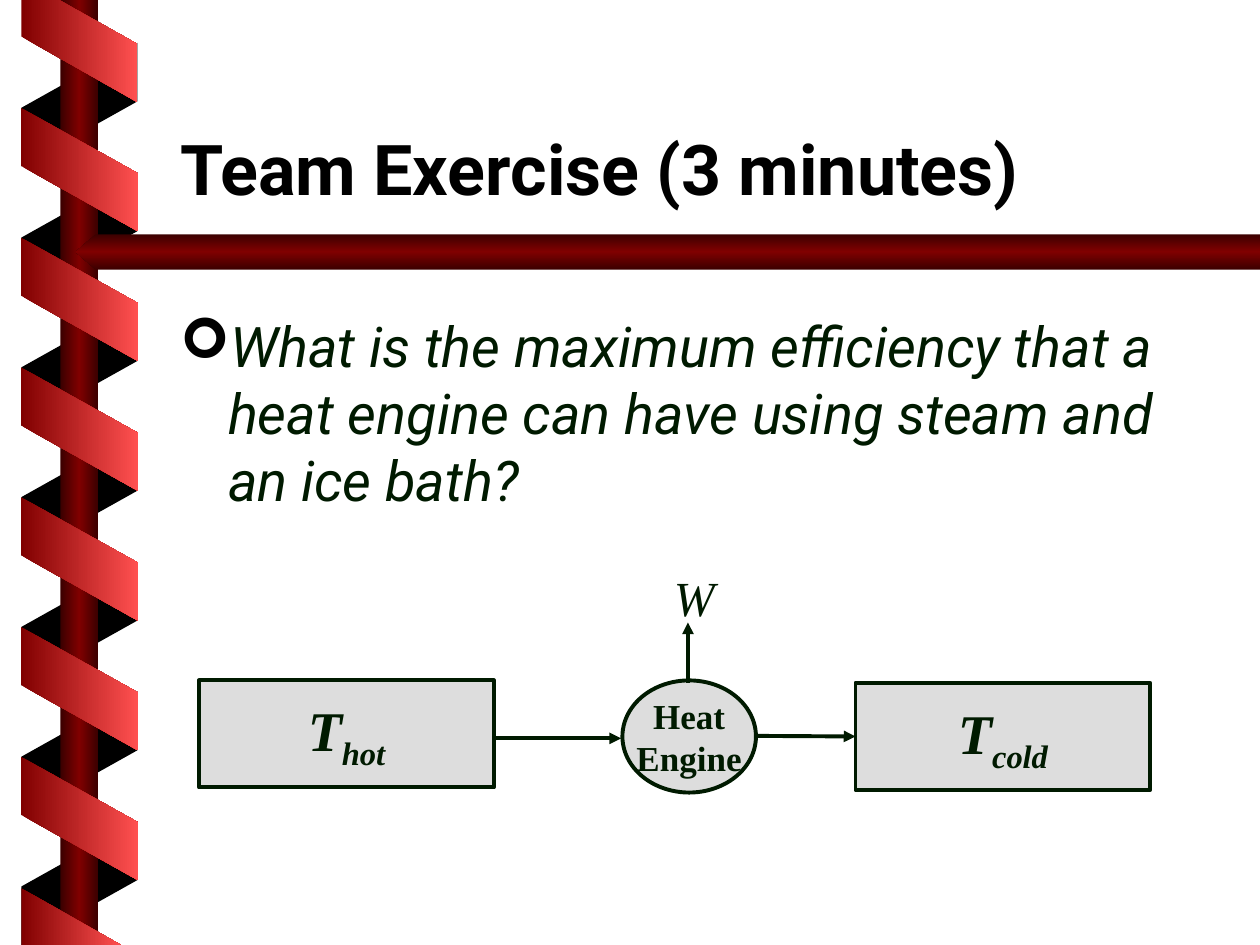
from lxml import etree
from pptx import Presentation
from pptx.dml.color import RGBColor
from pptx.enum import shapes, text
from pptx.oxml import parse_xml
from pptx.oxml.ns import nsdecls, qn
from pptx.util import Inches, Pt

HUES = {"ink": "001A00", "black": "000000", "gray": "DDDDDD",
        "dark": "3B0000", "red": "800000", "light": "FF5050"}
SANS, SERIF = "Roboto", "Times New Roman"
POLE = ("dark", "red", "dark")
BAND = ("red", "light")
STEP = 1.03  # height of one turn of the ribbon


def box(*vals):
    return [Inches(v) for v in vals]


class Deck:
    def __init__(self):
        self.prs = Presentation()
        self.prs.slide_width, self.prs.slide_height = box(10, 7.5)
        self.slide = self.prs.slides.add_slide(self.prs.slide_layouts[1])
        self.tree = self.slide.shapes

    def hue(self, name):
        return RGBColor.from_string(HUES[name])

    def paint(self, shape, fill, turn=0, line=None):
        """Fill with one colour, or with a gradient when given a tuple."""
        shape.shadow.inherit = False
        if isinstance(fill, tuple):
            shape.fill.gradient()
            grad = shape._element.spPr.find(qn("a:gradFill"))
            stops = grad.find(qn("a:gsLst"))
            for old in list(stops):
                stops.remove(old)
            for i, name in enumerate(fill):
                stop = etree.SubElement(stops, qn("a:gs"), pos=str(i * 100000 // (len(fill) - 1)))
                etree.SubElement(stop, qn("a:srgbClr"), val=HUES[name])
            grad.find(qn("a:lin")).set("ang", str(turn * 60000))
        else:
            shape.fill.solid()
            shape.fill.fore_color.rgb = self.hue(fill)
        if line:
            shape.line.color.rgb = self.hue(line)
            shape.line.width = Pt(2.25)
        else:
            shape.line.fill.background()
        return shape

    def shape(self, kind, spot, fill, turn=0, line=None):
        return self.paint(self.tree.add_shape(kind, *box(*spot)), fill, turn, line)

    def slant(self, spot, fill, rot, flip=False):
        """One turn of the ribbon: a parallelogram set on its side."""
        part = self.shape(shapes.MSO_SHAPE.PARALLELOGRAM, spot, fill, turn=90)
        part.adjustments[0] = 0.56
        part.rotation = rot
        if flip:
            part._element.spPr.xfrm.set("flipH", "1")

    def poly(self, pts, fill, turn=0):
        pen = self.tree.build_freeform(*box(*pts[0]), scale=1.0)
        pen.add_line_segments([box(*p) for p in pts[1:]], close=True)
        self.paint(pen.convert_to_shape(), fill, turn)

    def arrow(self, start, end):
        line = self.tree.add_connector(shapes.MSO_CONNECTOR.STRAIGHT, *box(*start, *end))
        line.line.color.rgb = self.hue("ink")
        line.line.width = Pt(2.25)
        etree.SubElement(line.line._get_or_add_ln(), qn("a:tailEnd"), type="triangle")
        etree.SubElement(line._element.spPr, qn("a:effectLst"))
        return line

    def run(self, para, words, size, face=SERIF, hue="ink", bold=False, ital=False, base=None):
        run = para.add_run()
        run.text = words
        font = run.font
        font.size, font.name, font.bold, font.italic = Pt(size), face, bold, ital
        font.color.rgb = self.hue(hue)
        if base:
            font._element.set("baseline", str(base * 1000))

    def label(self, shape, rows, align=text.PP_ALIGN.CENTER):
        """Each row is a list of (words, run style) pairs."""
        frame = shape.text_frame
        frame.word_wrap = False
        frame.vertical_anchor = text.MSO_ANCHOR.MIDDLE
        for i, row in enumerate(rows):
            para = frame.add_paragraph() if i else frame.paragraphs[0]
            para.alignment = align
            for words, style in row:
                self.run(para, words, **style)

    def holder(self, item, spot, anchor):
        item.left, item.top, item.width, item.height = box(*spot)
        frame = item.text_frame
        frame.word_wrap = True
        frame.auto_size = text.MSO_AUTO_SIZE.NONE
        frame.vertical_anchor = anchor
        para = frame.paragraphs[0]
        para.alignment = text.PP_ALIGN.LEFT
        para.space_before = Pt(0)
        return para

    def title(self, words, spot):
        para = self.holder(self.tree.title, spot, text.MSO_ANCHOR.BOTTOM)
        self.run(para, words, 40, SANS, "black", bold=True)

    def body(self, words, spot):
        para = self.holder(self.slide.placeholders[1], spot, text.MSO_ANCHOR.TOP)
        props = para._p.get_or_add_pPr()
        props.set("marL", str(Inches(0.38)))
        props.set("indent", str(Inches(-0.38)))
        ns = nsdecls("a")
        for tag in (f'<a:buClr {ns}><a:srgbClr val="{HUES["black"]}"/></a:buClr>',
                    f'<a:buFont {ns} typeface="Wingdings"/>',
                    f'<a:buChar {ns} char="➢"/>'):
            props.append(parse_xml(tag))
        self.run(para, words, 32, SANS, ital=True)


def main():
    deck = Deck()
    kind = shapes.MSO_SHAPE

    # Ribbon wound around the pole, back turns first
    for i in range(7):
        deck.slant((0.14, 0.37 + i * STEP, 0.98, 0.92), "black", 90, flip=True)
    deck.shape(kind.RECTANGLE, (0.48, 0, 0.3, 7.5), POLE)
    deck.poly([(10, 1.86), (0.76, 1.86), (0.6, 2), (0.76, 2.14), (10, 2.14)], POLE, turn=90)
    for i in range(6):
        deck.slant((0.14, 0.88 + i * STEP, 0.98, 0.93), BAND, 270)
    deck.poly([(0.17, 0), (0.17, 0.29), (1.09, 0.81), (1.09, 0.35), (0.47, 0)], BAND)
    deck.poly([(0.96, 7.5), (0.17, 7.05), (0.17, 7.5)], BAND)

    # Title and question
    deck.title("Team Exercise (3 minutes)", (1.33, 0.46, 8.5, 1.25))
    deck.body("What is the maximum efficiency that a heat engine can have "
              "using steam and an ice bath?", (1.33, 2.42, 8.5, 3.75))

    # Hot and cold reservoirs
    sign = dict(size=32, bold=True, ital=True)
    tanks = {}
    for name, left, top in (("hot", 1.58, 5.4), ("cold", 6.79, 5.42)):
        tanks[name] = deck.shape(kind.RECTANGLE, (left, top, 2.34, 0.85), "gray", line="ink")
        deck.label(tanks[name], [[("T", sign), (name, dict(sign, base=-25))]])

    # Engine with its heat and work flows
    deck.arrow((5.9, 5.84), (6.79, 5.84)).end_connect(tanks["cold"], 1)
    engine = deck.shape(kind.FLOWCHART_CONNECTOR, (4.94, 5.4, 1.06, 0.89), "gray", line="ink")
    deck.label(engine, [[(word, dict(size=20, bold=True))] for word in ("Heat", "Engine")])
    deck.arrow((5.46, 5.42), (5.46, 4.94))
    work = deck.tree.add_textbox(*box(5.25, 4.45, 0.52, 0.57))
    deck.label(work, [[("W", dict(size=28, ital=True))]], text.PP_ALIGN.LEFT)
    deck.arrow((3.93, 5.86), (4.93, 5.86))

    deck.prs.save("out.pptx")


if __name__ == "__main__":
    main()
